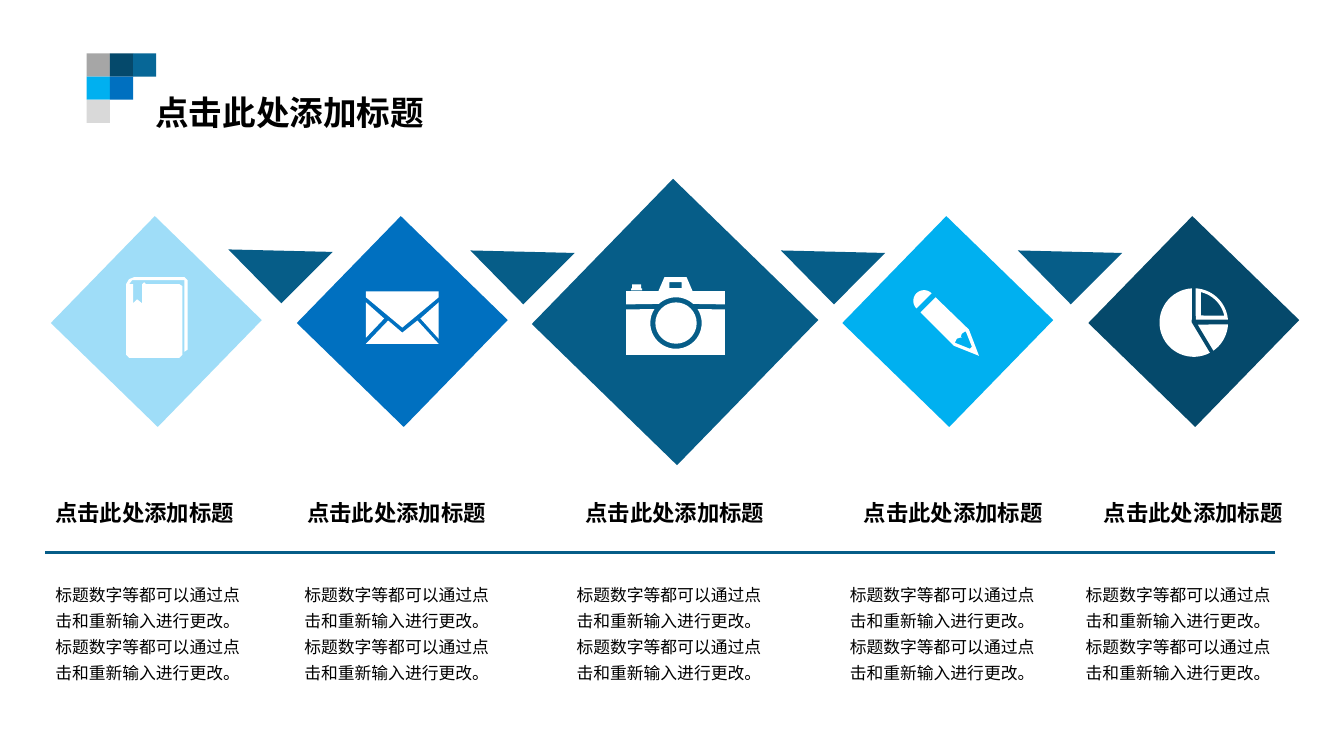
from math import cos, radians, sin

from lxml import etree
from pptx import Presentation
from pptx import util as u
from pptx.dml.color import RGBColor
from pptx.enum import shapes, text
from pptx.oxml import ns

PX = 9144
FONT = "Noto Sans CJK SC"
COLORS = {
    "black": "000000", "white": "FFFFFF", "grey": "A6A6A6", "pale": "D9D9D9",
    "navy": "05496B", "teal": "076797", "steel": "065D88",
    "sky": "00B0F0", "blue": "0070C0", "ice": "9FDDF8",
}
HEADING = "点击此处添加标题"
DETAIL = "标题数字等都可以通过点击和重新输入进行更改。" * 2

MOSAIC = [["grey", "navy", "teal"], ["sky", "blue"], ["pale"]]
DIAMONDS = [
    (569, 219, 201, "steel"), (325, 245, 148, "blue"), (866, 245, 148, "sky"),
    (81, 245, 148, "ice"), (1110, 245, 148, "navy"),
]
TRIANGLES = [(241, 213), (481, 214), (789, 214), (1024, 214)]
COLUMNS = [(45, 234, 45), (295, 234, 292), (571, 199, 562), (847, 199, 833), (1085, 199, 1067)]
CAMERA_BARS = [(626, 286, 11, 2), (627, 282, 9, 5)]


def arc(x, y, radius, start, end, steps=32):
    angles = [radians(start + (end - start) * step / steps) for step in range(steps + 1)]
    return [(x + radius * cos(angle), y + radius * sin(angle)) for angle in angles]


def pie_arc(radius, start, end):
    return arc(1184, 320, radius, start, end)


def lens_arc(radius, start, end):
    return arc(670.5, 320.5, radius, start, end)


BOOK = [[
    (183, 275), (133, 275), (128, 277), (125, 282), (125, 352), (128, 355), (178, 355),
    (181, 352), (181, 284), (178, 282), (145, 282), (143, 280), (141, 282), (141, 301),
    (136, 297), (132, 301), (132, 282), (128, 282), (131, 278), (183, 278), (183, 349),
    (186, 347), (186, 278),
]]
ENVELOPE = [
    [(363, 295), (399, 325), (435, 295), (435, 289), (363, 289)],
    [(363, 335), (381, 316), (363, 300)],
    [(435, 336), (417, 316), (435, 300)],
    [(399, 330), (385, 318), (363, 341), (435, 341), (414, 318)],
]
CAMERA_LENS = [lens_arc(20.5, 0, 360)]
CAMERA_BODY = [[(621, 307), (621, 352), (719, 352), (719, 307)] + lens_arc(25.5, -33, 213)]
CAMERA_TOP = [
    [(719, 302), (719, 289), (687, 289), (681, 275), (659, 275), (653, 289), (621, 289),
     (621, 302)] + lens_arc(25.5, 228, 312),
    [(676, 286), (664, 286), (664, 280), (676, 280)],
]
PENCIL_END = [arc(916.5, 298.5, 10.6, 135, 315)]
PENCIL = [
    [(946, 343), (971, 353), (961, 327), (928, 295), (913, 310)],
    [(949, 336), (952, 335), (954, 335), (953, 334), (954, 331), (957, 329), (958, 329),
     (964, 344), (962, 346), (947, 340)],
]
PIE = [
    [(1182, 320)] + pie_arc(34, 62, 267),
    [(1186, 317)] + pie_arc(34, -87, -5),
    [(1191, 313)] + pie_arc(31, -13, -77),
    [(1188, 322)] + pie_arc(34, 3, 55),
]
ICONS = [BOOK, ENVELOPE, CAMERA_LENS, CAMERA_BODY, CAMERA_TOP, PENCIL_END, PENCIL, PIE]


def rgb(name):
    return RGBColor.from_string(COLORS[name])


def paint(shape, color):
    shape.shadow.inherit = False
    shape.fill.solid()
    shape.fill.fore_color.rgb = rgb(color)
    shape.line.fill.background()


def add_block(page, kind, left, top, width, height, color, turn=0):
    shape = page.shapes.add_shape(kind, left * PX, top * PX, width * PX, height * PX)
    shape.rotation = turn
    paint(shape, color)
    return shape


def add_icon(page, contours):
    outline = None
    for contour in contours:
        points = [(x * PX, y * PX) for x, y in contour]
        if outline is None:
            outline = page.shapes.build_freeform(*points[0], scale=1.0)
        else:
            outline.move_to(*points[0])
        outline.add_line_segments(points[1:], close=True)
    paint(outline.convert_to_shape(), "white")


def write(box, words, size, bold=False, spacing=None):
    frame = box.text_frame
    frame.word_wrap = True
    frame.vertical_anchor = text.MSO_ANCHOR.TOP
    frame.auto_size = text.MSO_AUTO_SIZE.SHAPE_TO_FIT_TEXT
    para = frame.paragraphs[0]
    para.text = words
    para.alignment = text.PP_ALIGN.LEFT
    para.line_spacing = spacing
    para.font.size = u.Pt(size)
    para.font.bold = bold
    para.font.color.rgb = rgb("black")
    para.font.name = FONT
    defaults = para._p.pPr.find(ns.qn("a:defRPr"))
    etree.SubElement(defaults, ns.qn("a:ea"), typeface=FONT)


def add_text(page, left, top, width, height, *style):
    box = page.shapes.add_textbox(left * PX, top * PX, width * PX, height * PX)
    write(box, *style)


def main():
    deck = Presentation()
    deck.slide_width, deck.slide_height = 1333 * PX, 750 * PX
    page = deck.slides.add_slide(deck.slide_layouts[5])
    rect = shapes.MSO_SHAPE.RECTANGLE

    for row, colors in enumerate(MOSAIC):
        for column, color in enumerate(colors):
            add_block(page, rect, 86 + 23 * column, 53 + 23 * row, 23, 23, color)

    title = page.shapes.title
    title.left, title.top, title.width, title.height = 144 * PX, 86 * PX, 312 * PX, 50 * PX
    write(title, HEADING, 24, True)

    for left, top, side, color in DIAMONDS:
        add_block(page, rect, left, top, side, side, color, 44.2)
    for icon in ICONS:
        add_icon(page, icon)
    for bar in CAMERA_BARS:
        add_block(page, rect, *bar, "white")

    for heading_left, heading_width, detail_left in COLUMNS:
        add_text(page, heading_left, 490, heading_width, 37, HEADING, 16, True)
        add_text(page, detail_left, 569, 216, 141, DETAIL, 12, False, 1.3)

    rule = page.shapes.add_connector(
        shapes.MSO_CONNECTOR.STRAIGHT, 45 * PX, 548 * PX, 1265 * PX, 548 * PX)
    rule.line.color.rgb = rgb("steel")
    rule.line.width = u.Pt(2)
    etree.SubElement(rule._element.spPr, ns.qn("a:effectLst"))

    for left, top in TRIANGLES:
        triangle = add_block(
            page, shapes.MSO_SHAPE.ISOSCELES_TRIANGLE, left, top, 75, 72, "steel", 45.5)
        triangle.adjustments[0] = 0.99

    deck.save("out.pptx")


if __name__ == "__main__":
    main()
